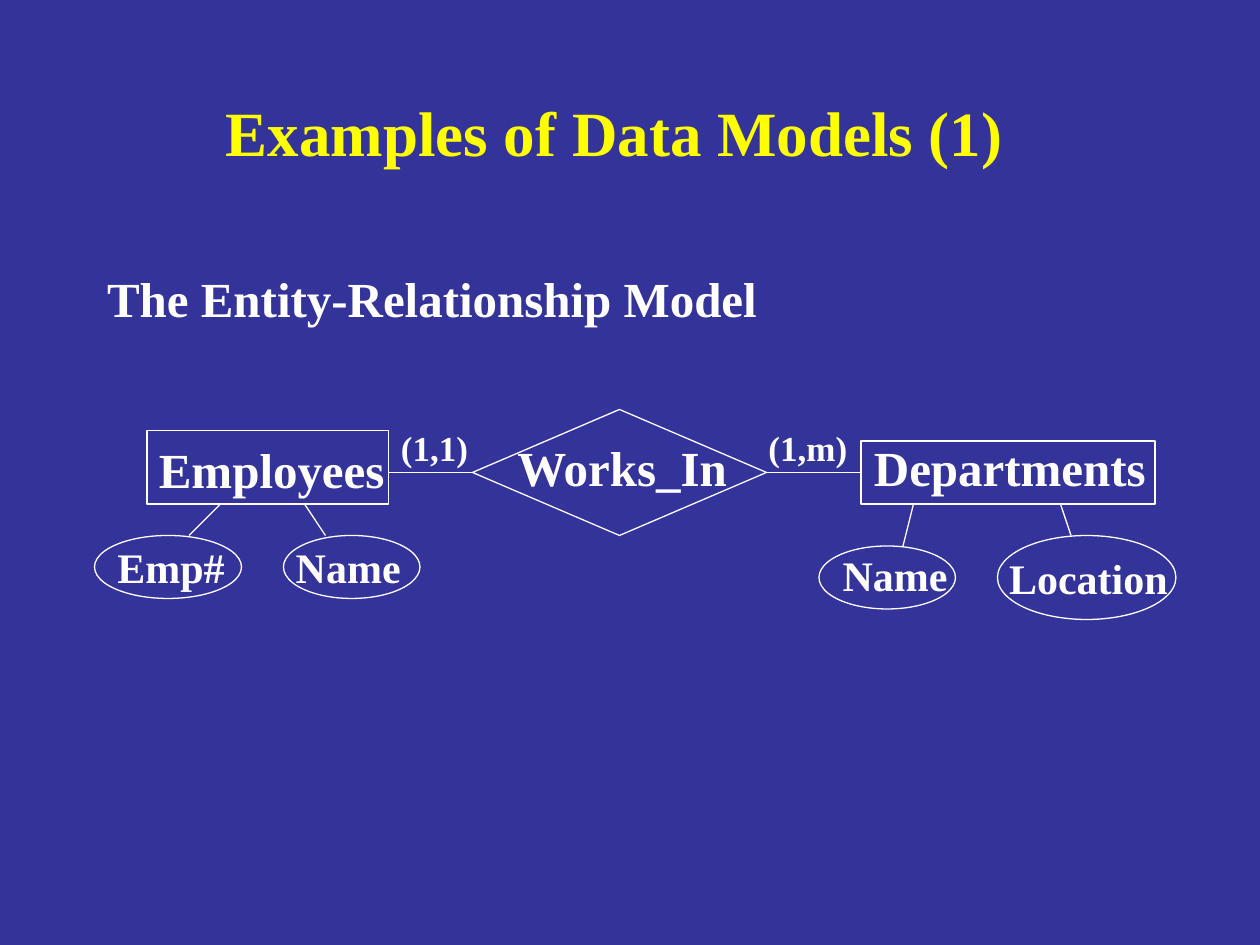
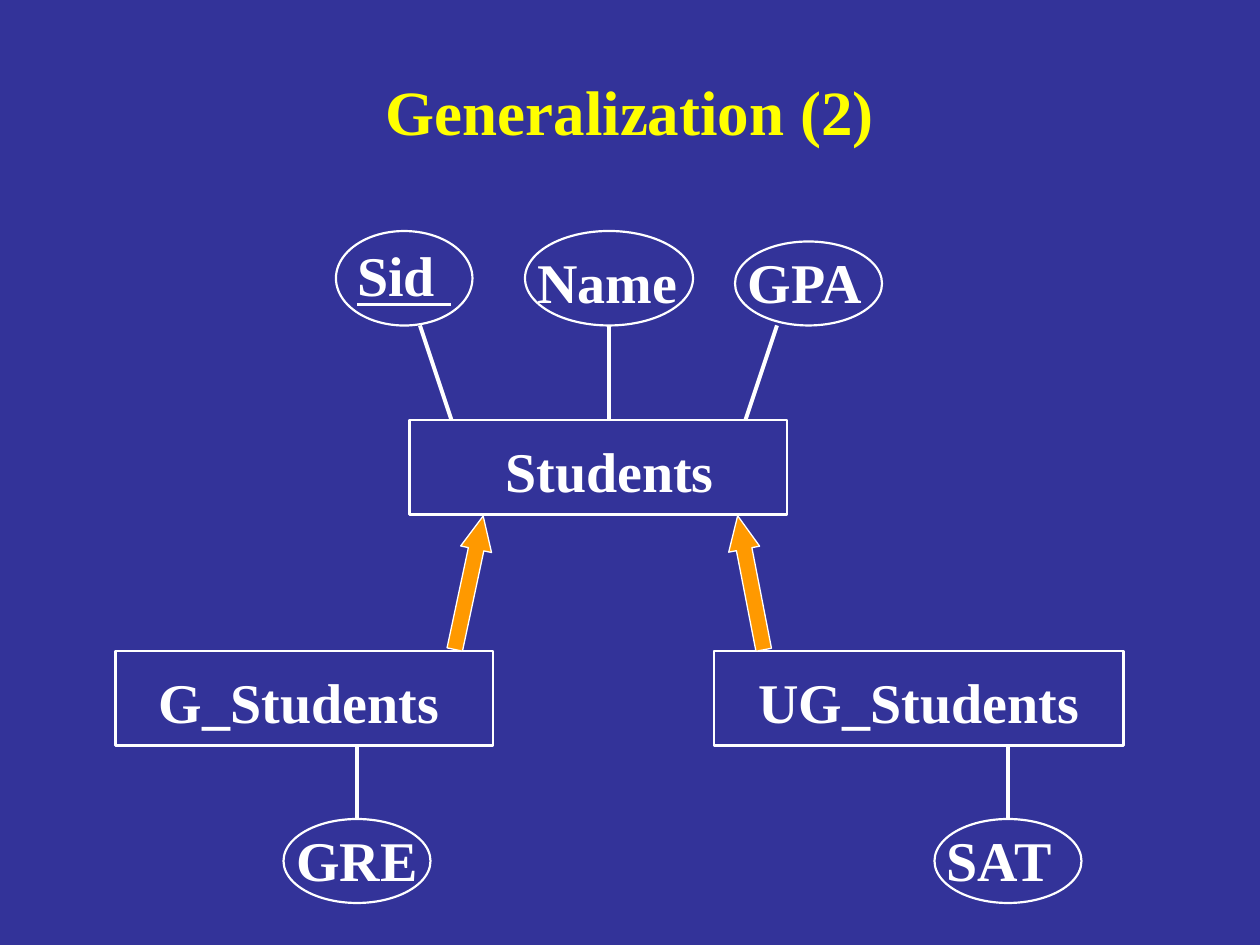
from dataclasses import dataclass

from lxml.etree import SubElement
from pptx import Presentation
from pptx.dml.color import RGBColor
from pptx.enum.shapes import MSO_CONNECTOR, MSO_SHAPE as Preset
from pptx.enum.text import MSO_ANCHOR as Anchor, MSO_AUTO_SIZE, PP_ALIGN as Align
from pptx.oxml.ns import qn
from pptx.util import Pt


@dataclass(frozen=True)
class Theme:
    font: str = "Times New Roman"
    background: RGBColor = RGBColor(0x33, 0x33, 0x99)
    title: RGBColor = RGBColor(0xFF, 0xFF, 0x00)
    ink: RGBColor = RGBColor(0xFF, 0xFF, 0xFF)
    arrow: RGBColor = RGBColor(0xFF, 0x99, 0x00)
    title_size: float = 36
    heading_size: float = 28
    attribute_size: float = 24
    cardinality_size: float = 20
    hierarchy_size: float = 32
    thin: float = 0.75
    medium: float = 1.25
    thick: float = 2.25


@dataclass(frozen=True)
class Box:
    left: float
    top: float
    width: float
    height: float

    def inner(self, left, top, width, height):
        return Box(self.left + left, self.top + top, width, height)

    def point(self, x, y):
        return self.left + x, self.top + y

    def lengths(self):
        return [Pt(value) for value in (self.left, self.top, self.width, self.height)]


@dataclass(frozen=True)
class Attribute:
    label: str
    place: tuple
    link: tuple
    nudge: tuple = (0, 0)


@dataclass(frozen=True)
class NodeStyle:
    entity_size: float
    attribute_size: float
    outline: float
    link: float


THEME = Theme()
MODEL = NodeStyle(THEME.heading_size, THEME.attribute_size, THEME.thin, THEME.thin)
HIERARCHY = NodeStyle(THEME.hierarchy_size, THEME.hierarchy_size, THEME.medium, THEME.thick)


def write(frame, text, size, color=THEME.ink, align=Align.CENTER,
          anchor=Anchor.MIDDLE, margins=(7.2, 3.6, 7.2, 3.6), wrap=True):
    frame.auto_size = MSO_AUTO_SIZE.NONE
    frame.word_wrap = wrap
    frame.vertical_anchor = anchor
    (frame.margin_left, frame.margin_top,
     frame.margin_right, frame.margin_bottom) = [Pt(margin) for margin in margins]
    paragraph = frame.paragraphs[0]
    paragraph.text = text
    paragraph.alignment = align
    paragraph.space_before = Pt(0)
    font = paragraph.font
    font.name, font.size, font.bold = THEME.font, Pt(size), True
    font.color.rgb = color
    return paragraph


def place(shape, box):
    shape.left, shape.top, shape.width, shape.height = box.lengths()


def add_title(slide, box, text):
    place(slide.shapes.title, box)
    write(slide.shapes.title.text_frame, text, THEME.title_size, THEME.title)


def add_heading(slide, box, text):
    body = slide.placeholders[1]
    place(body, box)
    paragraph = write(body.text_frame, text, THEME.heading_size,
                      align=Align.LEFT, anchor=Anchor.TOP)
    properties = paragraph._p.get_or_add_pPr()
    properties.set("marL", "0")
    properties.set("indent", "0")
    properties.insert_element_before(
        properties.makeelement(qn("a:buNone"), {}), "a:tabLst", "a:defRPr", "a:extLst")


def add_node(slide, preset, box, text, size, outline, nudge=(0, 0)):
    shape = slide.shapes.add_shape(preset, *box.lengths())
    shape.shadow.inherit = False
    shape.fill.background()
    shape.line.color.rgb = THEME.ink
    shape.line.width = Pt(outline)
    right, down = nudge
    margins = [2 * max(shift, 0) for shift in (right, down, -right, -down)]
    write(shape.text_frame, text, size, margins=margins, wrap=False)
    return shape


def add_line(slide, start, end, width):
    line = slide.shapes.add_connector(
        MSO_CONNECTOR.STRAIGHT, *[Pt(value) for value in (*start, *end)])
    line.line.color.rgb = THEME.ink
    line.line.width = Pt(width)
    SubElement(line._element.spPr, qn("a:effectLst"))
    return line


def add_entity(slide, box, label, style, attributes, nudge=(0, 0)):
    entity = add_node(slide, Preset.RECTANGLE, box, label,
                      style.entity_size, style.outline, nudge)
    for attribute in attributes:
        add_node(slide, Preset.OVAL, box.inner(*attribute.place), attribute.label,
                 style.attribute_size, style.outline, attribute.nudge)
        start_x, start_y, end_x, end_y = attribute.link
        add_line(slide, box.point(start_x, start_y), box.point(end_x, end_y), style.link)
    return entity


def add_cardinality(slide, box, text):
    label = slide.shapes.add_textbox(*box.lengths())
    write(label.text_frame, text, THEME.cardinality_size,
          align=Align.LEFT, anchor=Anchor.TOP, wrap=False)


def add_relationship_diagram(slide, box):
    add_entity(slide, box.inner(30, 12, 138, 42), "Employees", MODEL, [
        Attribute("Emp#", (-30, 60, 84, 36), (42, 42, 24, 60), (1.7, 0)),
        Attribute("Name", (78, 60, 78, 36), (90, 42, 102, 60), (-2, 0)),
    ], (2.3, 0.7))
    departments = add_entity(slide, box.inner(438, 18, 168, 36), "Departments", MODEL, [
        Attribute("Name", (-24, 60, 78, 36), (30, 36, 24, 60), (4.5, -1.4)),
        Attribute("Location", (78, 54, 102, 48), (114, 36, 120, 54), (1, 0)),
    ], (1, -3.2))
    works_in = add_node(slide, Preset.DIAMOND, box.inner(216, 0, 168, 72), "Works_In",
                        THEME.heading_size, THEME.thin, (1.5, -3.2))
    employee_link = add_line(slide, box.point(168, 36), box.point(216, 36), THEME.thin)
    employee_link.end_connect(works_in, 1)
    department_link = add_line(slide, box.point(384, 36), box.point(438, 36), THEME.thin)
    department_link.begin_connect(works_in, 3)
    department_link.end_connect(departments, 1)
    for left, text in ((168, "(1,1)"), (378, "(1,m)")):
        add_cardinality(slide, box.inner(left, 6, 60, 32), text)


def add_generalization_arrow(slide, box, rotation):
    arrow = slide.shapes.add_shape(Preset.RIGHT_ARROW, *box.lengths())
    arrow.shadow.inherit = False
    arrow.rotation = rotation
    arrow.adjustments[0], arrow.adjustments[1] = 0.5, 1.08
    arrow.fill.solid()
    arrow.fill.fore_color.rgb = THEME.arrow
    arrow.line.color.rgb = THEME.ink
    arrow.line.width = Pt(THEME.thin)


def add_hierarchy(slide, box):
    add_entity(slide, box.inner(168, 108, 216, 54), "Students", HIERARCHY, [
        Attribute("Sid", (-42, -108, 78, 54), (24, 0, 6, -54), (-4.6, -2.5)),
        Attribute("Name", (66, -108, 96, 54), (114, 0, 114, -54), (-1, 1.4)),
        Attribute("GPA", (186, -102, 84, 48), (192, 0, 210, -54), (-2.2, -1.6)),
    ], (6.4, 1.4))
    add_line(slide, box.point(138, 42), box.point(192, 42), THEME.thick)
    add_entity(slide, box.inner(0, 240, 216, 54), "G_Students", HIERARCHY, [
        Attribute("GRE", (96, 96, 84, 48), (138, 54, 138, 96), (0, -1)),
    ], (-3, 1.8))
    add_entity(slide, box.inner(342, 240, 234, 54), "UG_Students", HIERARCHY, [
        Attribute("SAT", (126, 96, 84, 48), (168, 54, 168, 96), (-5, -1)),
    ], (0, 1.8))
    for left, rotation in ((163, 282), (324, 259)):
        add_generalization_arrow(slide, box.inner(left, 192, 78, 18), rotation)


def build_model_slide(presentation):
    slide = presentation.slides.add_slide(presentation.slide_layouts[1])
    add_title(slide, Box(30, 42, 642, 66), "Examples of Data Models (1)")
    add_heading(slide, Box(54, 150, 636, 342), "The Entity-Relationship Model")
    add_relationship_diagram(slide, Box(54, 234, 618, 120))


def build_generalization_slide(presentation):
    slide = presentation.slides.add_slide(presentation.slide_layouts[5])
    add_title(slide, Box(54, 30, 612, 66), "Generalization (2)")
    add_hierarchy(slide, Box(66, 132, 576, 384))


def main():
    presentation = Presentation()
    presentation.slide_width, presentation.slide_height = Pt(720), Pt(540)
    fill = presentation.slide_master.background.fill
    fill.solid()
    fill.fore_color.rgb = THEME.background
    build_model_slide(presentation)
    build_generalization_slide(presentation)
    presentation.save("out.pptx")


if __name__ == "__main__":
    main()
